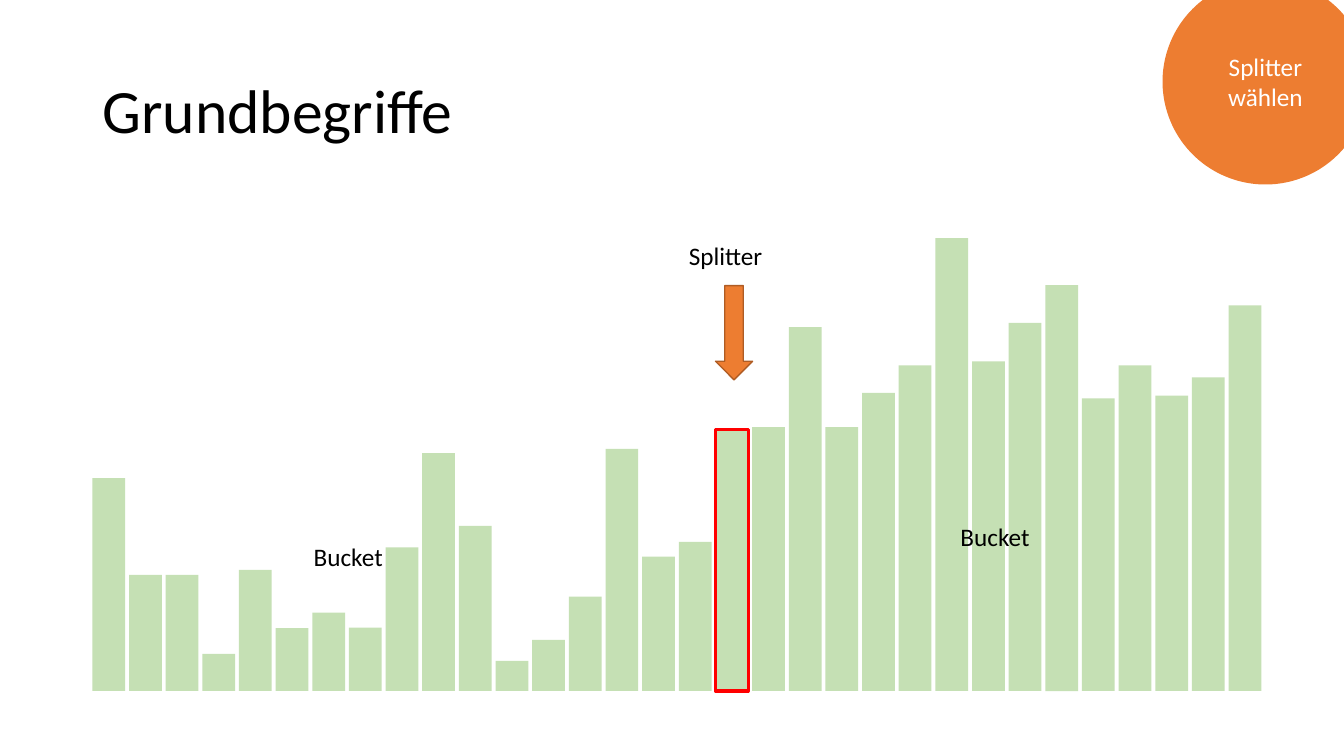
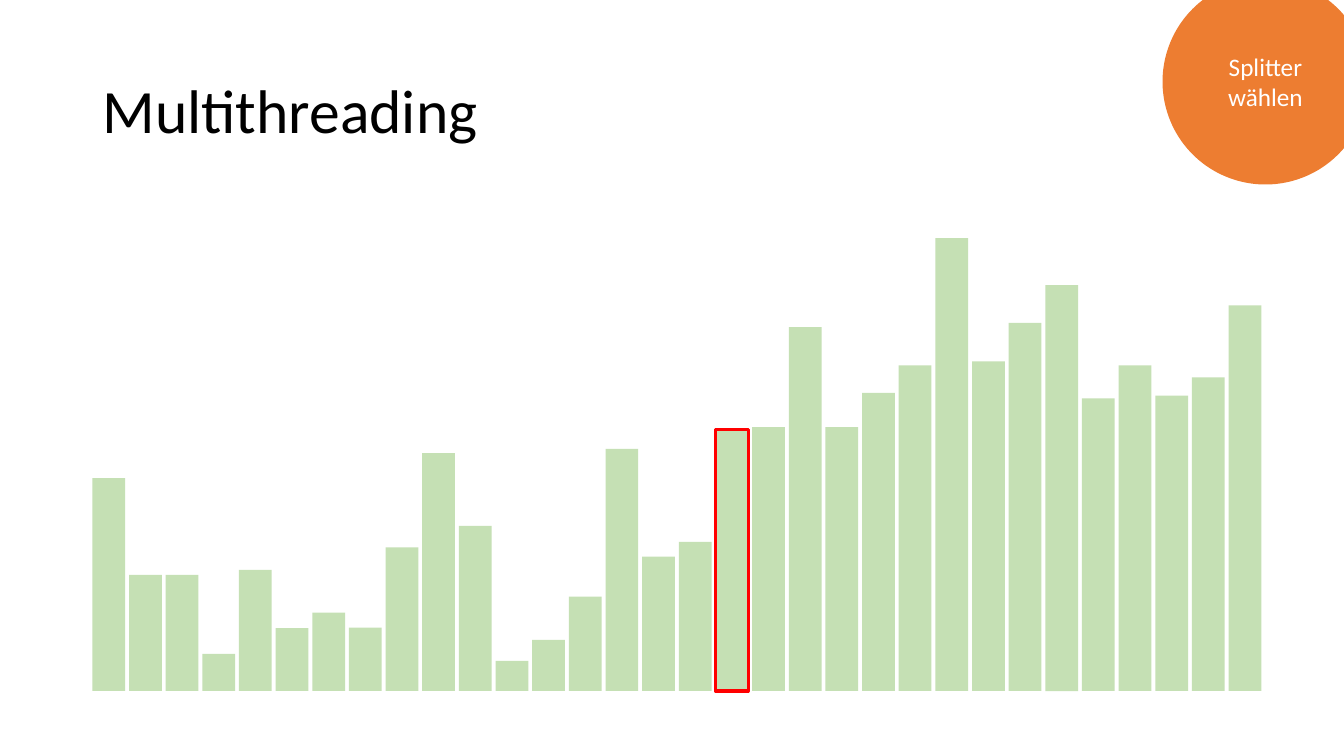
from pptx import Presentation
from pptx.dml.color import RGBColor
from pptx.enum.shapes import MSO_SHAPE
from pptx.enum.text import MSO_ANCHOR, MSO_AUTO_SIZE, PP_ALIGN
from pptx.util import Pt

RECT, OVAL, ARROW = MSO_SHAPE.RECTANGLE, MSO_SHAPE.OVAL, MSO_SHAPE.DOWN_ARROW
LEFT, CENTER = PP_ALIGN.LEFT, PP_ALIGN.CENTER
MIDDLE, TOP = MSO_ANCHOR.MIDDLE, MSO_ANCHOR.TOP
FIT, FIXED = MSO_AUTO_SIZE.SHAPE_TO_FIT_TEXT, MSO_AUTO_SIZE.NONE

GREEN, ORANGE, RUST = "C5E0B4", "ED7D31", "AF5C24"
RED, BLACK, WHITE = "FF0000", "000000", "FFFFFF"
FONT = "Calibri"

# Boxes: left, top, width, height in points
TITLE = (66, 28.8, 828, 104.4)
BADGE = (830.4, -15.2, 147, 147)
BARS = (66, 170, 835, 323.6)

BAR = 23.4
SPLIT = 17
HEIGHTS = [152, 83, 83, 26.5, 86.5, 45, 56, 45.3,
           102.5, 170, 118, 21.5, 36.5, 67.5, 173, 96,
           106.5, 187, 188.5, 260, 188.5, 213, 232.5, 323.5,
           235.5, 263, 290, 209, 232.5, 211, 224, 275.5]
PITCH = (BARS[2] - BAR) / (len(HEIGHTS) - 1)


def color(code):
    return RGBColor.from_string(code)


def assign(item, values):
    for name, value in values.items():
        setattr(item, name, value)


def write(shape, text, size, ink, align=LEFT, **frame):
    body = shape.text_frame
    body.text = text
    assign(body, frame)
    para = body.paragraphs[0]
    para.alignment = align
    assign(para.runs[0].font, {"name": FONT, "size": Pt(size)})
    para.runs[0].font.color.rgb = color(ink)
    return para


def draw(slide, kind, box, fill, line=None, weight=1):
    shape = slide.shapes.add_shape(kind, *map(Pt, box))
    shape.shadow.inherit = False
    shape.fill.solid()
    shape.fill.fore_color.rgb = color(fill)
    if line:
        shape.line.color.rgb = color(line)
        shape.line.width = Pt(weight)
    else:
        shape.line.fill.background()
    return shape


def add_title(slide, box, text):
    title = slide.shapes.title
    assign(title, dict(zip(("left", "top", "width", "height"), map(Pt, box))))
    para = write(title, text, 44, BLACK, vertical_anchor=MIDDLE,
                 word_wrap=True, auto_size=FIXED)
    para.line_spacing = 0.9


def add_badge(slide, box):
    badge = draw(slide, OVAL, box, ORANGE)
    write(badge, "Splitter wählen", 18, WHITE, CENTER,
          vertical_anchor=MIDDLE, word_wrap=True)


def add_bars(slide, box):
    left, top, _, height = box
    for i, tall in enumerate(HEIGHTS):
        line = RED if i == SPLIT else None
        spot = (left + i * PITCH, top + height - tall, BAR, tall)
        draw(slide, RECT, spot, GREEN, line, 2.25)


def add_label(slide, left, top, width, text):
    label = slide.shapes.add_textbox(Pt(left), Pt(top), Pt(width), Pt(29))
    write(label, text, 18, BLACK, vertical_anchor=TOP,
          word_wrap=False, auto_size=FIT)


def add_terms(slide, box):
    left, top = box[:2]
    # Arrow above the splitter bar
    spot = (left + SPLIT * PITCH, top + 34, 26.5, 67.3)
    draw(slide, ARROW, spot, ORANGE, RUST)
    # Names of the splitter and of both sides
    for x, y, width, text in ((419, -2.2, 68, "Splitter"),
                              (151, 213, 64, "Bucket"),
                              (613, 198.6, 64, "Bucket")):
        add_label(slide, left + x, top + y, width, text)


def add_page(deck, title, terms=False):
    slide = deck.slides.add_slide(deck.slide_layouts[5])
    add_title(slide, TITLE, title)
    add_bars(slide, BARS)
    if terms:
        add_terms(slide, BARS)
    add_badge(slide, BADGE)


deck = Presentation()
assign(deck, {"slide_width": Pt(960), "slide_height": Pt(540)})
add_page(deck, "Grundbegriffe", terms=True)
add_page(deck, "Multithreading")
deck.save("out.pptx")
